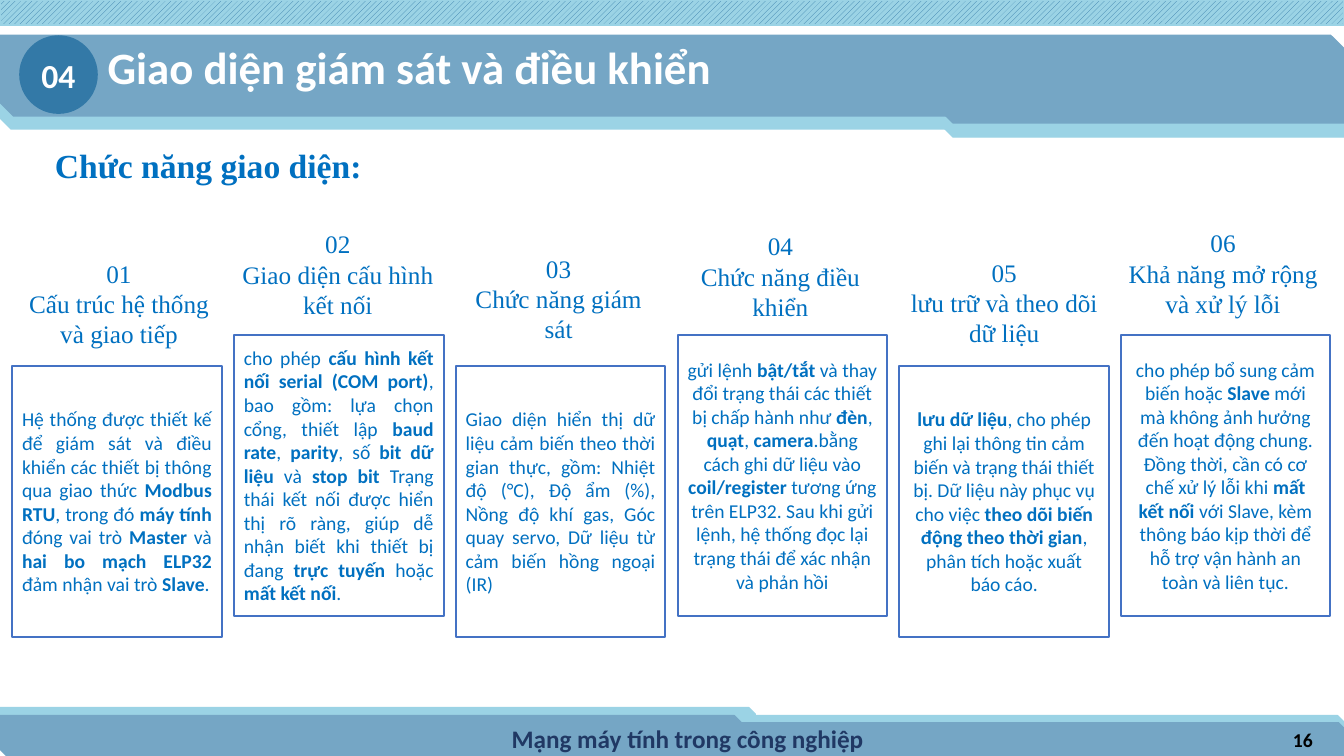
from pptx import Presentation
from pptx.dml.color import RGBColor
from pptx.enum.dml import MSO_PATTERN
from pptx.enum.shapes import MSO_SHAPE
from pptx.enum.text import MSO_ANCHOR, PP_ALIGN
from pptx.util import Inches, Pt

COLORS = {
    "light": "9BD3E5", "band": "75A6C5", "circle": "3379A7", "navy": "203864",
    "text": "0070C0", "border": "4472C4", "white": "FFFFFF", "black": "000000",
}


def add_block(page, preset, place, fill, line, width):
    block = page.shapes.add_shape(preset, *[Inches(value) for value in place])
    block.shadow.inherit = False
    block.fill.solid()
    block.fill.fore_color.rgb = RGBColor.from_string(COLORS[fill])
    block.line.color.rgb = RGBColor.from_string(COLORS[line])
    block.line.width = Pt(width)
    return block


def write(box, text, size, color, align=PP_ALIGN.CENTER, anchor=MSO_ANCHOR.MIDDLE,
          font="Calibri", bold=False):
    """Fill one paragraph; ** switches bold, a newline is a line break."""
    frame = box.text_frame
    frame.word_wrap = True
    frame.vertical_anchor = anchor
    para = frame.paragraphs[0]
    para.alignment = align
    for line_number, line in enumerate(text.split("\n")):
        if line_number:
            para.add_line_break()
        for part_number, part in enumerate(line.split("**")):
            if not part:
                continue
            span = para.add_run()
            span.text = part
            span.font.name = font
            span.font.size = Pt(size)
            span.font.bold = bold or part_number % 2 == 1
            span.font.color.rgb = RGBColor.from_string(COLORS[color])
    return frame


deck = Presentation()
deck.slide_width, deck.slide_height = Inches(13.33), Inches(7.5)
page = deck.slides.add_slide(deck.slide_layouts[6])

# Footer and header bands, back to front
bands = [
    ((5.62, 7.1, 7.71, 0.38), "light", 1),
    ((0, 7.02, 7.49, 0.38), "light", 1),
    ((6.23, 7.17, 7.1, 0.33), "band", 1),
    ((0, 7.1, 7.35, 0.4), "band", 1),
    ((9.32, 0.58, 4.01, 0.78), "light", 0.75),
    ((0, 0.62, 13.33, 0.66), "light", 1),
    ((0, 0.35, 13.33, 0.8), "band", 1),
    ((9.32, 0.44, 4.01, 0.78), "band", 0.75),
]
for place, color, width in bands:
    add_block(page, MSO_SHAPE.SNIP_2_DIAG_RECTANGLE, place, color, color, width)

# Hatched strip along the top
strip = add_block(page, MSO_SHAPE.RECTANGLE, (0, 0, 13.33, 0.25), "light", "light", 1)
strip.fill.patterned()
strip.fill.pattern = MSO_PATTERN.WIDE_UPWARD_DIAGONAL
strip.fill.fore_color.rgb = RGBColor.from_string(COLORS["circle"])
strip.fill.back_color.rgb = RGBColor.from_string(COLORS["light"])

# Footer text and slide number
footer = page.shapes.add_textbox(Inches(4.04), Inches(7.13), Inches(5.56), Inches(0.4))
write(footer, "Mạng máy tính trong công nghiệp", 18, "navy", bold=True)
number = page.shapes.add_textbox(Inches(10.12), Inches(7.14), Inches(3), Inches(0.4))
write(number, "16", 14, "black", align=PP_ALIGN.RIGHT, bold=True)

# Title and section number
title = page.shapes.add_textbox(Inches(0.97), Inches(0.29), Inches(7.77), Inches(0.78))
title_frame = write(title, "Giao diện giám sát và điều khiển", 32, "white",
                    align=PP_ALIGN.LEFT, anchor=MSO_ANCHOR.TOP, bold=True)
title_frame.margin_top = title_frame.margin_bottom = Inches(0.1)
circle = add_block(page, MSO_SHAPE.OVAL, (0.19, 0.35, 0.78, 0.78), "circle", "circle", 1)
circle.line.fill.background()
write(circle, "04", 24, "white", bold=True).word_wrap = False

# Subtitle
subtitle = page.shapes.add_textbox(Inches(0.19), Inches(1.39), Inches(3.75), Inches(0.5))
write(subtitle, "Chức năng giao diện:", 24, "text", anchor=MSO_ANCHOR.TOP,
      font="Times New Roman", bold=True)

# Six functions: heading, heading place (left, top, width), card width, description
functions = [
    ("Cấu trúc hệ thống và giao tiếp", (0.14, 2.51, 2.08), 2.08,
     "Hệ thống được thiết kế để giám sát và điều khiển các thiết bị thông qua giao thức "
     "**Modbus RTU**, trong đó **máy tính** đóng vai trò **Master** và "
     "**hai bo mạch ELP32** đảm nhận vai trò **Slave**."),
    ("Giao diện cấu hình kết nối", (2.19, 2.22, 2.32), 2.08,
     "cho phép **cấu hình kết nối serial (COM port)**, bao gồm: lựa chọn cổng, thiết lập "
     "**baud rate**, **parity**, số **bit dữ liệu** và **stop bit **Trạng thái kết nối "
     "được hiển thị rõ ràng, giúp dễ nhận biết khi thiết bị đang **trực tuyến** hoặc "
     "**mất kết nối**."),
    ("Chức năng giám sát", (4.5, 2.46, 2.08), 2.08,
     "Giao diện hiển thị dữ liệu cảm biến theo thời gian thực, gồm: Nhiệt độ (°C), "
     "Độ ẩm (%), Nồng độ khí gas, Góc quay servo, Dữ liệu từ cảm biến hồng ngoại (IR)"),
    ("Chức năng điều khiển", (6.7, 2.24, 2.08), 2.08,
     "gửi lệnh **bật/tắt** và thay đổi trạng thái các thiết bị chấp hành như **đèn**, "
     "**quạt**, **camera**.bằng cách ghi dữ liệu vào **coil/register** tương ứng trên "
     "ELP32. Sau khi gửi lệnh, hệ thống đọc lại trạng thái để xác nhận và phản hồi"),
    ("lưu trữ và theo dõi dữ liệu", (8.92, 2.5, 2.08), 2.08,
     "**lưu dữ liệu**, cho phép ghi lại thông tin cảm biến và trạng thái thiết bị. "
     "Dữ liệu này phục vụ cho việc **theo dõi biến động theo thời gian**, phân tích "
     "hoặc xuất báo cáo."),
    ("Khả năng mở rộng và xử lý lỗi", (11.09, 2.21, 2.08), 2.07,
     "cho phép bổ sung cảm biến hoặc **Slave** mới mà không ảnh hưởng đến hoạt động "
     "chung. Đồng thời, cần có cơ chế xử lý lỗi khi **mất kết nối** với Slave, kèm "
     "thông báo kịp thời để hỗ trợ vận hành an toàn và liên tục."),
]
for index, (heading, (left, top, width), card_width, description) in enumerate(functions):
    # Cards alternate between a low and a high position
    card_top, card_height = (3.32, 2.79) if index % 2 else (3.63, 2.69)
    card = add_block(page, MSO_SHAPE.RECTANGLE,
                     (0.12 + 2.2 * index, card_top, card_width, card_height),
                     "white", "border", 1.5)
    write(card, description, 14, "text",
          align=PP_ALIGN.JUSTIFY if index < 3 else PP_ALIGN.CENTER)
    label = page.shapes.add_textbox(Inches(left), Inches(top), Inches(width), Inches(1.01))
    write(label, f"{index + 1:02d}\n{heading}", 18, "text", anchor=MSO_ANCHOR.TOP,
          font="Times New Roman")

deck.save("out.pptx")
